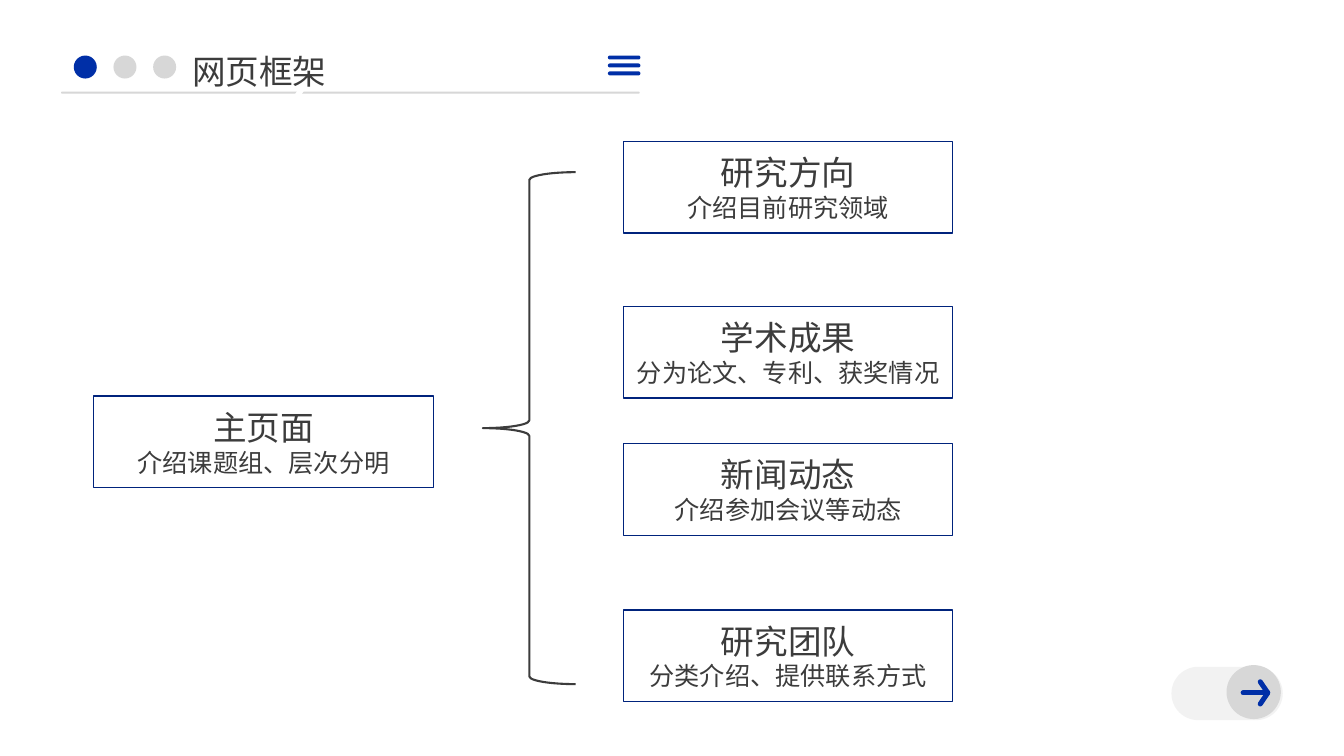
from dataclasses import dataclass

from lxml import etree
from pptx import Presentation
from pptx import util as u
from pptx.dml.color import RGBColor
from pptx.enum import shapes, text
from pptx.oxml.ns import qn

KINDS = shapes.MSO_SHAPE


@dataclass(frozen=True)
class Theme:
    blue: str = "002FA7"
    border: str = "00237C"
    ink: str = "3C3C3C"
    grey: str = "D7D7D7"
    pale: str = "F2F2F2"
    white: str = "FFFFFF"
    heading: int = 24
    detail: int = 18
    title_font: str = "Noto Sans CJK SC"
    body_font: str = "Arial"


class SlideBuilder:
    def __init__(self, page, theme):
        self.page = page
        self.theme = theme

    def paint(self, shape, fill=None, line=None, width=1):
        shape.shadow.inherit = False
        for target, colour in ((shape.fill, fill), (shape.line.fill, line)):
            if colour:
                target.solid()
                target.fore_color.rgb = RGBColor.from_string(colour)
            else:
                target.background()
        if line:
            shape.line.width = u.Pt(width)
        return shape

    def shape(self, kind, place, **style):
        shape = self.page.shapes.add_shape(kind, *map(u.Cm, place))
        return self.paint(shape, **style)

    def pill(self, place, **style):
        """Add a bar with fully rounded ends."""
        self.shape(KINDS.ROUNDED_RECTANGLE, place, **style).adjustments[0] = 0.5

    def stroke(self, contours, colour, width):
        """Draw open lines with round caps and joins as one freeform."""
        points = [[(u.Cm(x), u.Cm(y)) for x, y in contour] for contour in contours]
        builder = self.page.shapes.build_freeform(*points[0][0])
        for index, (start, *rest) in enumerate(points):
            if index:
                builder.move_to(*start)
            builder.add_line_segments(rest, close=False)
        shape = self.paint(builder.convert_to_shape(), line=colour, width=width)
        line = shape.line._get_or_add_ln()
        line.set("cap", "rnd")
        etree.SubElement(line, qn("a:round"))

    def add_words(self, para, words, size, font):
        span = para.add_run()
        span.text = words
        for name, value in {"size": u.Pt(size), "name": font}.items():
            setattr(span.font, name, value)
        span.font.color.rgb = RGBColor.from_string(self.theme.ink)
        etree.SubElement(span.font._element, qn("a:ea"), typeface=self.theme.title_font)

    def title(self, words, place):
        frame = self.page.shapes.add_textbox(*map(u.Cm, place)).text_frame
        layout = {
            "margin_left": 0, "margin_right": 0, "margin_top": 0, "margin_bottom": 0,
            "word_wrap": False, "auto_size": text.MSO_AUTO_SIZE.SHAPE_TO_FIT_TEXT,
        }
        for name, value in layout.items():
            setattr(frame, name, value)
        para = frame.paragraphs[0]
        para.line_spacing = 1.2
        self.add_words(para, words, self.theme.heading, self.theme.title_font)

    def card(self, heading, detail, place):
        box = self.shape(KINDS.RECTANGLE, place, line=self.theme.border)
        frame = box.text_frame
        frame.vertical_anchor = text.MSO_ANCHOR.MIDDLE
        lines = (
            (frame.paragraphs[0], heading, self.theme.heading),
            (frame.add_paragraph(), detail, self.theme.detail),
        )
        for para, words, size in lines:
            para.alignment = text.PP_ALIGN.CENTER
            self.add_words(para, words, size, self.theme.body_font)


def add_header(slide):
    theme = slide.theme
    slide.pill((1.54, 2.31, 14.58, 0.05), fill=theme.grey)
    for index, colour in enumerate((theme.blue, theme.grey, theme.grey)):
        slide.shape(KINDS.OVAL, (1.86 + index, 1.4, 0.58, 0.58), fill=colour)
    slide.stroke([[(7.07, 2.5), (7.26, 2.76), (7.67, 2.15)]], theme.white, 4)
    for index in range(3):
        slide.pill((15.32, 1.4 + 0.2 * index, 0.82, 0.1), fill=theme.blue)
    slide.title("网页框架", (4.84, 1.07, 3.43, 1.12))


def add_next_button(slide):
    theme = slide.theme
    slide.pill((29.54, 16.82, 2.77, 1.31), fill=theme.pale, line=theme.pale)
    slide.shape(KINDS.OVAL, (30.91, 16.76, 1.37, 1.36), fill=theme.grey)
    tip = (31.95, 17.46)
    shaft = [(31.33, 17.46), tip]
    head = [(31.76, 17.18), tip, (31.76, 17.74)]
    slide.stroke([shaft, head], theme.blue, 3.6)


def add_site_map(slide):
    slide.card("主页面", "介绍课题组、层次分明", (2.36, 9.98, 8.56, 2.31))
    sections = (
        (3.56, "研究方向", "介绍目前研究领域"),
        (7.72, "学术成果", "分为论文、专利、获奖情况"),
        (11.18, "新闻动态", "介绍参加会议等动态"),
        (15.37, "研究团队", "分类介绍、提供联系方式"),
    )
    for top, heading, detail in sections:
        slide.card(heading, detail, (15.72, top, 8.28, 2.31))
    slide.shape(KINDS.LEFT_BRACE, (12.17, 4.34, 2.34, 12.9),
                line=slide.theme.ink, width=1.5)


def main():
    deck = Presentation()
    deck.slide_width, deck.slide_height = u.Cm(33.87), u.Cm(19.05)
    slide = SlideBuilder(deck.slides.add_slide(deck.slide_layouts[6]), Theme())
    add_header(slide)
    add_next_button(slide)
    add_site_map(slide)
    deck.save("out.pptx")


if __name__ == "__main__":
    main()
